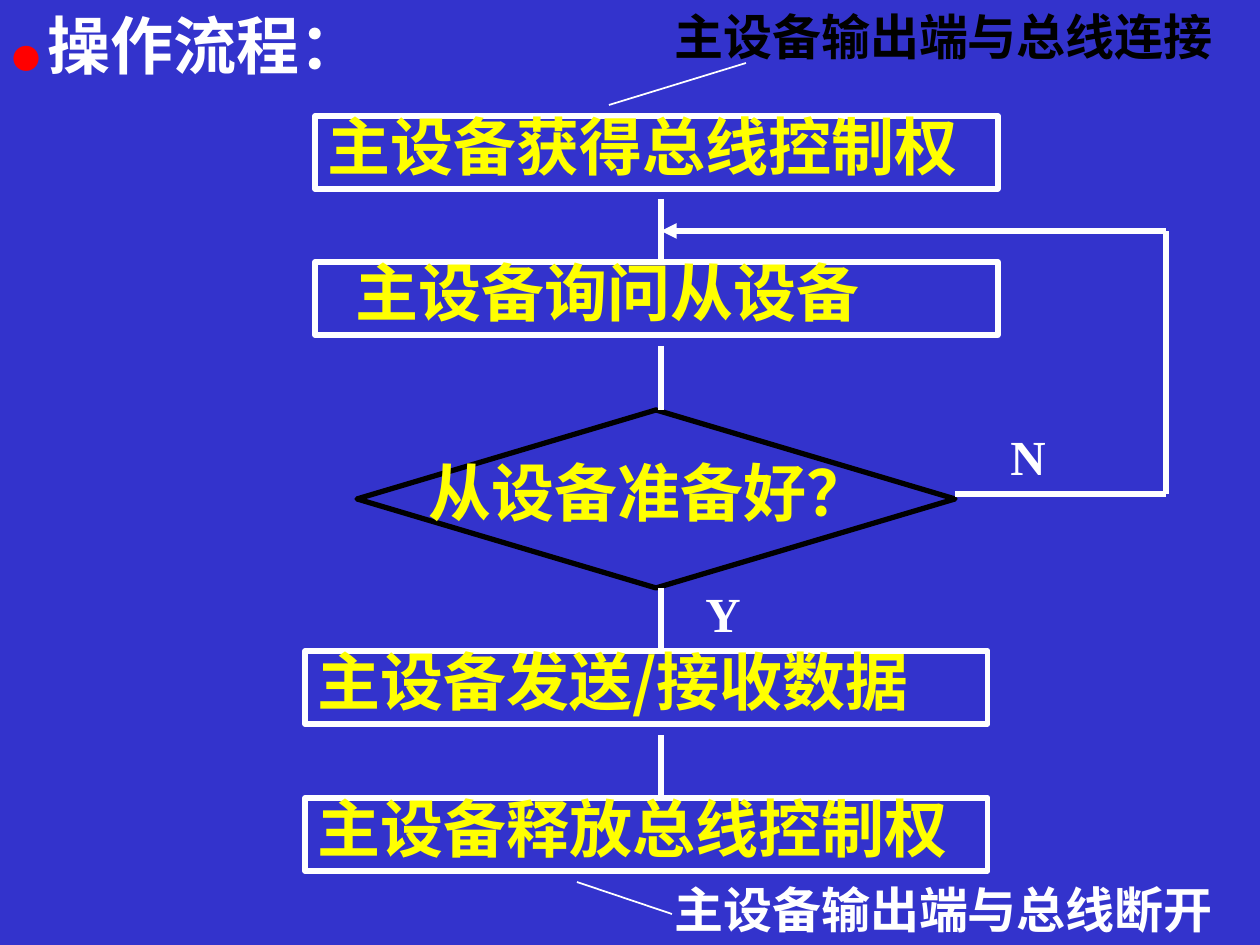
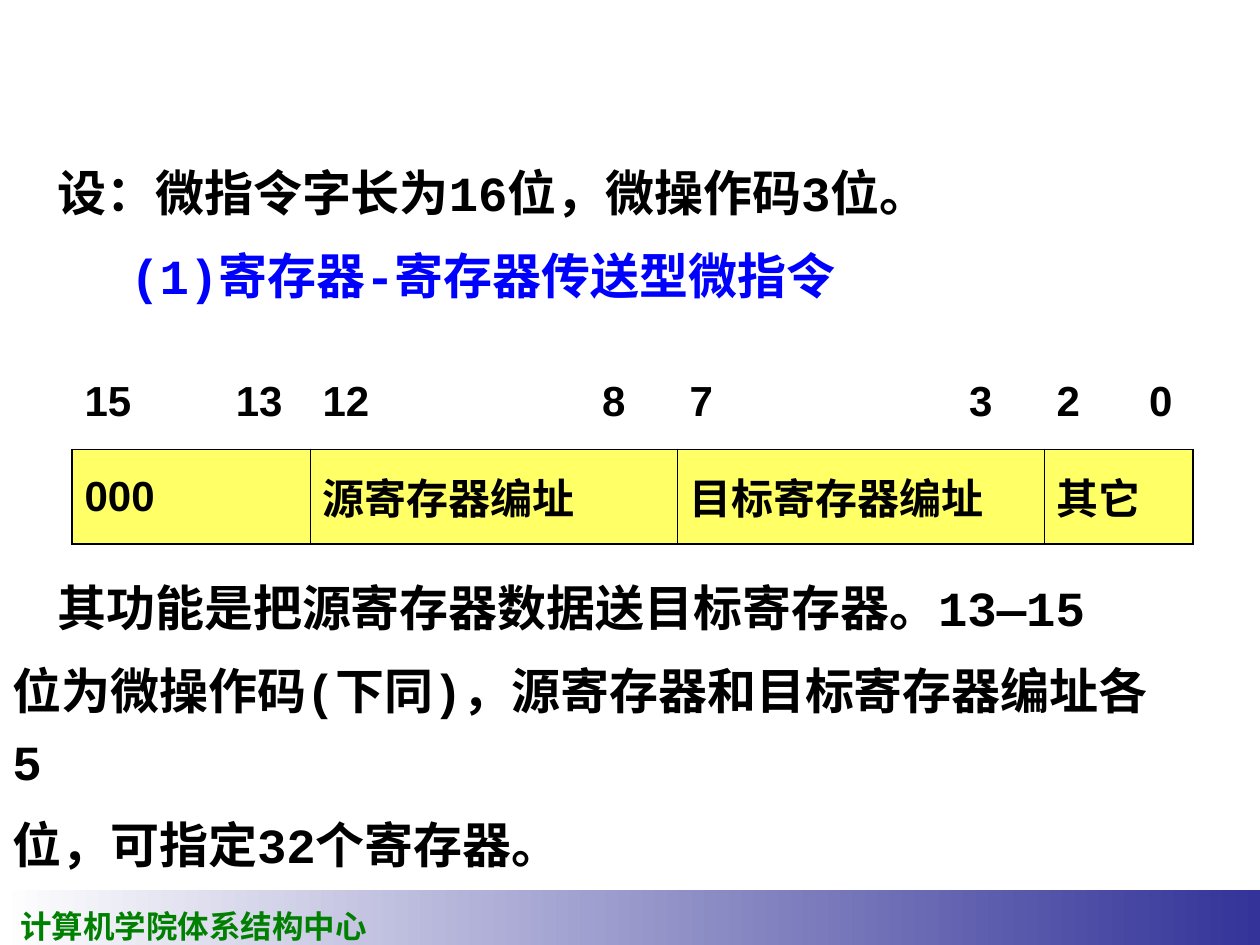
import pptx
import pptx.dml.color
import pptx.enum.shapes
import pptx.enum.text
import pptx.oxml.ns
import pptx.util
from lxml import etree

PX = 914400 / 126
SHAPES = pptx.enum.shapes.MSO_SHAPE
TOP = pptx.enum.text.MSO_ANCHOR.TOP
MIDDLE = pptx.enum.text.MSO_ANCHOR.MIDDLE
CJK = "Noto Sans CJK SC"
TIMES = "Times New Roman"
MONO = "Courier New"
SANS = "Arial"
WHITE, BLACK, YELLOW = "FFFFFF", "000000", "FFFF00"
ROYAL, RED, GREEN, BLUE = "3333CC", "FF0000", "008000", "0000FF"
NAVY, CELL_YELLOW = "333399", "FFFF66"


def px(length):
    """Turn a length in px into EMU."""
    return pptx.util.Emu(round(length * PX))


def rgb(value):
    """Turn a hex string into a colour."""
    return pptx.dml.color.RGBColor.from_string(value)


def add_child(parent, tag, **attributes):
    """Append a DrawingML element to its parent."""
    return etree.SubElement(parent, pptx.oxml.ns.qn("a:" + tag), attributes)


def style_font(font, size, colour, name):
    """Set a bold font, with one typeface for Chinese characters."""
    font.size = pptx.util.Pt(size)
    font.bold = True
    font.color.rgb = rgb(colour)
    font.name = name
    latin = font._element.find(pptx.oxml.ns.qn("a:latin"))
    east_asian = etree.Element(pptx.oxml.ns.qn("a:ea"), {"typeface": CJK})
    latin.addnext(east_asian)


def fill_paragraph(para, text, size, colour, name, indent=0, tab=None):
    """Write one left-aligned paragraph with an optional indent and right tab."""
    para.alignment = pptx.enum.text.PP_ALIGN.LEFT
    properties = para._p.get_or_add_pPr()
    if indent:
        properties.set("indent", str(px(indent)))
    if tab:
        tabs = add_child(properties, "tabLst")
        add_child(tabs, "tab", pos=str(px(tab)), algn="r")
    para.add_run().text = text
    style_font(para.font, size, colour, name)


def add_text_box(page, left, top, width, height, wrap=True):
    """Add an empty text box and return its text frame."""
    box = page.shapes.add_textbox(px(left), px(top), px(width), px(height))
    box.text_frame.word_wrap = wrap
    return box.text_frame


def add_label(page, left, top, width, text, colour):
    """Add a one-line label beside the flow."""
    frame = add_text_box(page, left, top, width, 72)
    fill_paragraph(frame.paragraphs[0], text, 28, colour, TIMES)


def add_outline(page, preset, left, top, width, height, colour):
    """Add an unfilled shape with a thick outline."""
    shape = page.shapes.add_shape(preset, px(left), px(top), px(width), px(height))
    shape.shadow.inherit = False
    shape.fill.background()
    shape.line.color.rgb = rgb(colour)
    shape.line.width = pptx.util.Pt(3)
    return shape


def write_step(frame, text, indent=0):
    """Write the tight yellow text of a flow step."""
    frame.word_wrap = True
    frame.vertical_anchor = TOP
    para = frame.paragraphs[0]
    para.line_spacing = 0.8
    fill_paragraph(para, text, 36, YELLOW, CJK, indent)


def add_line(page, start, end, width=3, arrow=False):
    """Add a white line between two points."""
    line = page.shapes.add_connector(
        pptx.enum.shapes.MSO_CONNECTOR.STRAIGHT,
        px(start[0]), px(start[1]), px(end[0]), px(end[1]))
    line.line.color.rgb = rgb(WHITE)
    line.line.width = pptx.util.Pt(width)
    if arrow:
        add_child(line.line._get_or_add_ln(), "tailEnd", type="triangle")
    add_child(line._element.spPr, "effectLst")


def add_page(deck, colour):
    """Add a blank page with a plain background."""
    page = deck.slides.add_slide(deck.slide_layouts[6])
    page.background.fill.solid()
    page.background.fill.fore_color.rgb = rgb(colour)
    return page


def add_footer(page):
    """Add the gradient band and the name of the centre."""
    band = page.shapes.add_shape(SHAPES.RECTANGLE, 0, px(890), px(1260), px(59))
    band.shadow.inherit = False
    band.line.fill.background()
    band.fill.gradient()
    band.fill.gradient_angle = 0
    for stop, colour in zip(band.fill.gradient_stops, (WHITE, NAVY)):
        stop.color.rgb = rgb(colour)
    frame = add_text_box(page, 8, 901, 372, 50, wrap=False)
    fill_paragraph(frame.paragraphs[0], "计算机学院体系结构中心", 18, GREEN, TIMES)


def add_body(page, top, height, lines):
    """Add body paragraphs given as (text, colour, indent)."""
    frame = add_text_box(page, 0, top, 1181, height)
    for number, (text, colour, indent) in enumerate(lines):
        para = frame.add_paragraph() if number else frame.paragraphs[0]
        para.line_spacing = 1.2
        if number:
            para.space_before = pptx.util.Pt(7)
        fill_paragraph(para, text, 28, colour, MONO, indent)
    return frame


def set_borders(cell, widths):
    """Set the left, right, top and bottom borders; zero means none."""
    properties = cell._tc.get_or_add_tcPr()
    for side, width in zip("LRTB", widths):
        line = add_child(properties, "ln" + side, w=str(pptx.util.Pt(width)))
        if width:
            add_child(add_child(line, "solidFill"), "srgbClr", val=BLACK)
        else:
            add_child(line, "noFill")


def fill_cell(cell, text, borders, colour=None, tab=None):
    """Write a table cell with its borders and fill."""
    cell.vertical_anchor = MIDDLE
    cell.margin_left = cell.margin_right = pptx.util.Inches(0.1)
    set_borders(cell, borders)
    if colour:
        cell.fill.solid()
        cell.fill.fore_color.rgb = rgb(colour)
    else:
        cell.fill.background()
    fill_paragraph(cell.text_frame.paragraphs[0], text, 24, BLACK, SANS, tab=tab)


def add_instruction_table(page):
    """Add the bit numbers over the fields of the microinstruction."""
    fields = [
        (238, "15\t13", 198, "000"),
        (367, "12\t8", 303, "源寄存器编址"),
        (367, "7\t3", 303, "目标寄存器编址"),
        (149, "2\t0", 116, "其它"),
    ]
    total = sum(field[0] for field in fields)
    table = page.shapes.add_table(
        2, len(fields), px(72), px(354), px(total), px(190)).table
    table.first_row = table.horz_banding = False
    for row in table.rows:
        row.height = px(95)
    thin, thick = 0.45, 1.08
    last = len(fields) - 1
    for column, (width, bits, tab, name) in enumerate(fields):
        table.columns[column].width = px(width)
        fill_cell(table.cell(0, column), bits, (0, 0, 0, thin), tab=tab)
        left = thin if column else thick
        right = thick if column == last else thin
        fill_cell(table.cell(1, column), name, (left, right, thin, thick), CELL_YELLOW)


def build_flow_page(deck):
    """Build the flow chart of bus operation."""
    page = add_page(deck, ROYAL)
    title = add_text_box(page, 0, 0, 451, 88).paragraphs[0]
    for text, size, colour in (("●", 16, RED), (" ", 18, RED), ("操作流程：", 36, WHITE)):
        span = title.add_run()
        span.text = text
        style_font(span.font, size, colour, CJK)

    steps = [
        (315, 116, "主设备获得总线控制权", 0),
        (315, 262, "主设备询问从设备", 28),
        (305, 651, "主设备发送/接收数据", 0),
        (305, 798, "主设备释放总线控制权", 0),
    ]
    for left, top, text, indent in steps:
        step = add_outline(page, SHAPES.RECTANGLE, left, top, 683, 73, WHITE)
        write_step(step.text_frame, text, indent)
    add_outline(page, SHAPES.FLOWCHART_DECISION, 357, 410, 598, 178, BLACK)
    write_step(add_text_box(page, 388, 462, 567, 73), "从设备准备好？", 28)

    axis = 661
    for top, bottom in ((199, 262), (346, 410), (588, 651), (735, 798)):
        add_line(page, (axis, top), (axis, bottom))
    loop = [(955, 494), (1166, 494), (1166, 231), (axis, 231)]
    for start, end in zip(loop, loop[1:]):
        add_line(page, start, end, arrow=end == loop[-1])

    add_label(page, 693, 577, 105, "Y", WHITE)
    add_label(page, 998, 420, 105, "N", WHITE)
    add_line(page, (609, 105), (746, 63), 1)
    add_label(page, 662, 0, 598, "主设备输出端与总线连接", BLACK)
    add_label(page, 662, 873, 598, "主设备输出端与总线断开", WHITE)
    add_line(page, (577, 882), (672, 914), 1)


def build_instruction_page(deck):
    """Build the page on the register transfer microinstruction."""
    page = add_page(deck, WHITE)
    add_footer(page)
    add_body(page, 145, 180, [
        ("设：微指令字长为16位，微操作码3位。", BLACK, 45),
        ("(1)寄存器-寄存器传送型微指令", BLUE, 118),
    ])
    add_body(page, 560, 340, [
        ("其功能是把源寄存器数据送目标寄存器。13—15", BLACK, 45),
        ("位为微操作码(下同)，源寄存器和目标寄存器编址各5", BLACK, 0),
        ("位，可指定32个寄存器。", BLACK, 0),
    ])
    add_instruction_table(page)


def main():
    """Build and save the deck."""
    deck = pptx.Presentation()
    deck.slide_width = px(1260)
    deck.slide_height = px(945)
    build_flow_page(deck)
    build_instruction_page(deck)
    deck.save("out.pptx")


if __name__ == "__main__":
    main()
